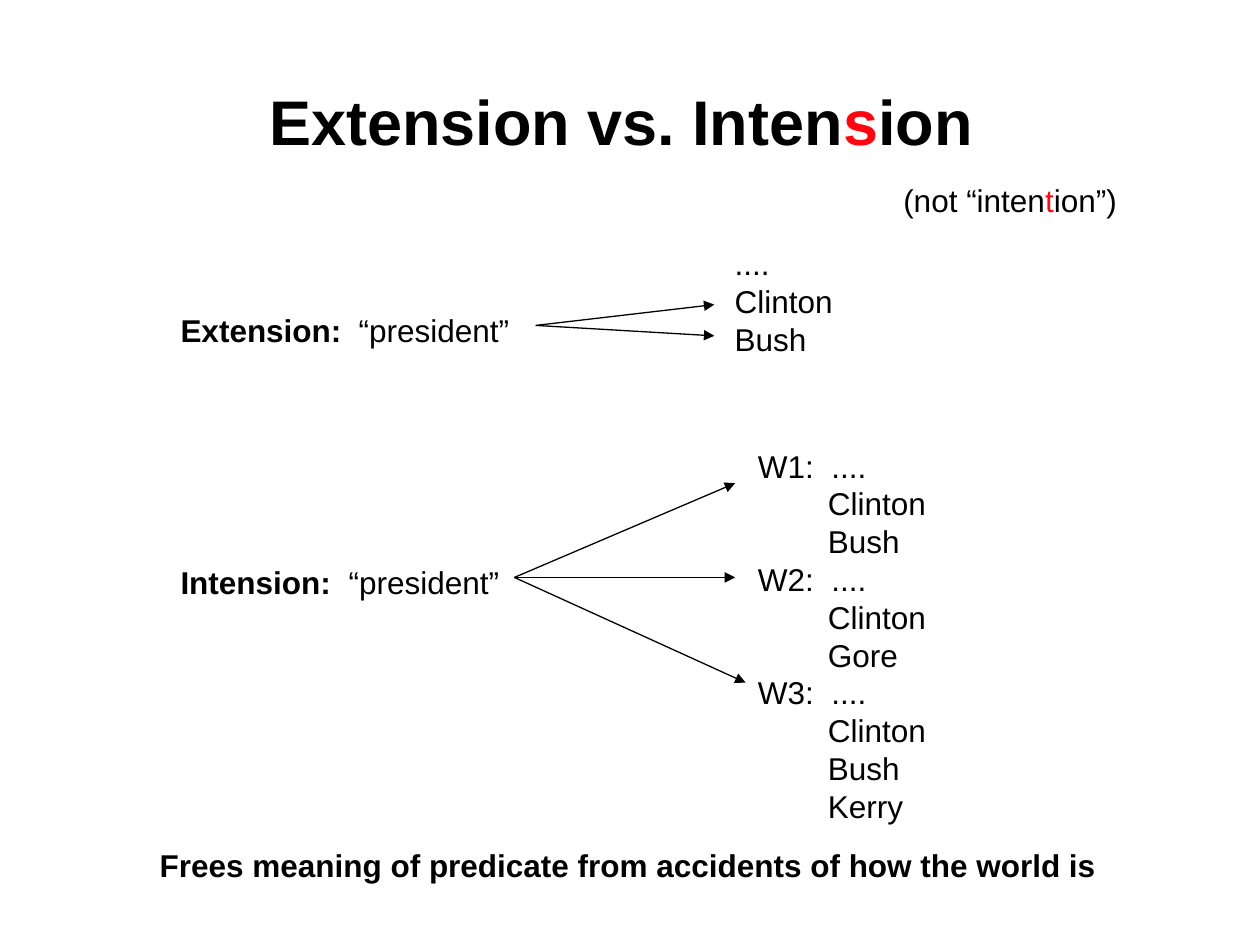
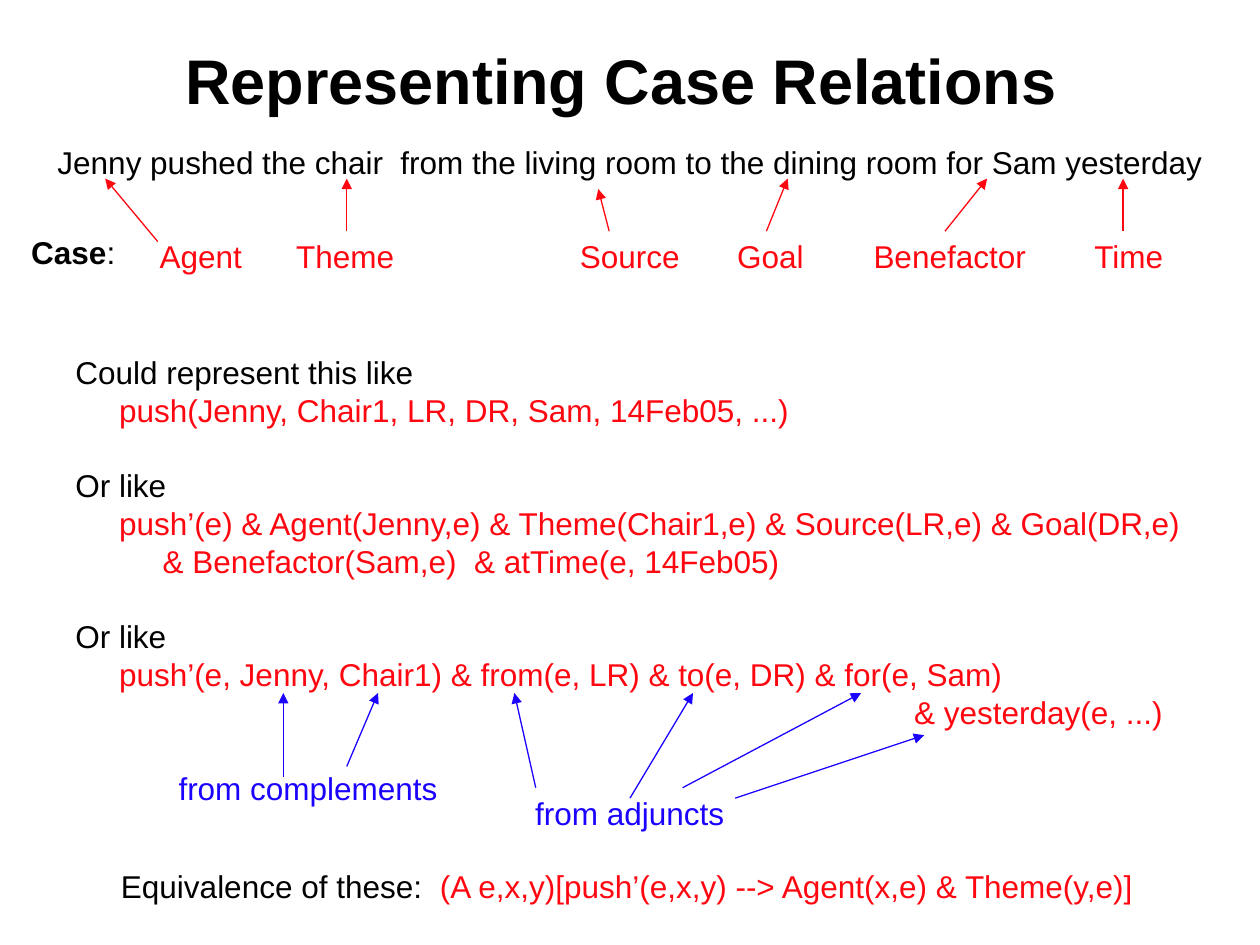
from dataclasses import dataclass

import pptx
import pptx.dml.color
import pptx.enum.shapes
import pptx.enum.text
import pptx.oxml.ns
import pptx.util
from lxml import etree
from pptx.util import Cm

COLORS = {"black": "000000", "red": "FF0710", "blue": "1B02FF"}
FONT = "Arial"
TITLE_SIZE = pptx.util.Pt(36)
BODY_SIZE = pptx.util.Pt(18)
LINE_HEIGHT = pptx.util.Pt(21.6)
WIDTH_SLACK = 0.15  # cm added to each text box so that no line breaks


@dataclass
class Run:
    text: str
    color: str = "black"
    bold: bool = False


@dataclass
class Line:
    runs: list
    indent: float = 0
    tab: float = 0
    gap_before: bool = False


def line(text, color="black", bold=False, **layout):
    return Line([Run(text, color, bold)], **layout)


def add_element(parent, tag, **attributes):
    values = {key: str(value) for key, value in attributes.items()}
    return etree.SubElement(parent, pptx.oxml.ns.qn(tag), values)


class Deck:
    """Holds the shared style and the current slide."""

    def __init__(self):
        self.presentation = pptx.Presentation()
        self.presentation.slide_width = Cm(25.4)
        self.presentation.slide_height = Cm(19.05)
        self.slide = None

    def style(self, font, run):
        font.bold = run.bold
        font.color.rgb = pptx.dml.color.RGBColor.from_string(COLORS[run.color])

    def fill(self, paragraph, runs, size):
        paragraph.font.name = FONT
        paragraph.font.size = size
        for run in runs:
            piece = paragraph.add_run()
            piece.text = run.text
            if len(runs) > 1:
                self.style(piece.font, run)
        if len(runs) == 1:
            self.style(paragraph.font, runs[0])

    def new_slide(self, top, title_runs):
        layout = self.presentation.slide_layouts[5]  # title only
        self.slide = self.presentation.slides.add_slide(layout)
        title = self.slide.shapes.title
        title.left, title.top = Cm(1.9), Cm(top)
        title.width, title.height = Cm(21.59), Cm(3.18)
        frame = title.text_frame
        frame.auto_size = pptx.enum.text.MSO_AUTO_SIZE.NONE
        frame.vertical_anchor = pptx.enum.text.MSO_ANCHOR.MIDDLE
        paragraph = frame.paragraphs[0]
        paragraph.alignment = pptx.enum.text.PP_ALIGN.CENTER
        self.fill(paragraph, title_runs, TITLE_SIZE)

    def text(self, left, top, width, *lines):
        height = 0.25 + 0.76 * len(lines)
        height += 0.76 * sum(entry.gap_before for entry in lines)
        box = self.slide.shapes.add_textbox(
            Cm(left), Cm(top), Cm(width + WIDTH_SLACK), Cm(height))
        frame = box.text_frame
        frame.word_wrap = True
        frame.auto_size = pptx.enum.text.MSO_AUTO_SIZE.SHAPE_TO_FIT_TEXT
        for index, entry in enumerate(lines):
            paragraph = frame.add_paragraph() if index else frame.paragraphs[0]
            paragraph.line_spacing = LINE_HEIGHT
            if entry.gap_before:
                paragraph.space_before = LINE_HEIGHT
            properties = paragraph._p.get_or_add_pPr()
            if entry.indent:
                properties.set("marL", str(Cm(entry.indent)))
                properties.set("indent", "0")
            if entry.tab:
                tabs = add_element(properties, "a:tabLst")
                add_element(tabs, "a:tab", pos=Cm(entry.tab), algn="l")
            self.fill(paragraph, entry.runs, BODY_SIZE)

    def arrow(self, start, end, color="black"):
        connector = self.slide.shapes.add_connector(
            pptx.enum.shapes.MSO_CONNECTOR.STRAIGHT,
            *(Cm(value) for value in start + end))
        connector.line.width = pptx.util.Pt(0.75)
        connector.line.color.rgb = pptx.dml.color.RGBColor.from_string(COLORS[color])
        add_element(connector.line._get_or_add_ln(), "a:tailEnd", type="triangle")
        add_element(connector._element.spPr, "a:effectLst")


def build_intension(deck):
    deck.new_slide(0.84, [Run("Extension vs. Inten", bold=True),
                          Run("s", "red", True), Run("ion ", bold=True)])
    deck.text(17.96, 3.53, 4.8, Line([
        Run("(not “inten"), Run("t", "red"), Run("ion”)")]))

    # Terms on the left
    for term, left, top, width, tab in [("Extension:", 3.39, 6.15, 7.14, 3.59),
                                        ("Intension:", 3.39, 11.23, 6.93, 3.39)]:
        deck.text(left, top, width, Line(
            [Run(term + "\t", bold=True), Run("“president”")], tab=tab))

    # What each term picks out
    deck.text(14.56, 4.8, 2.49, *map(line, ["....", "Clinton", "Bush"]))
    worlds = {"W1": ["Clinton", "Bush"],
              "W2": ["Clinton", "Gore"],
              "W3": ["Clinton", "Bush", "Kerry"]}
    world_lines = []
    for world, presidents in worlds.items():
        world_lines.append(line(f"{world}:\t....", tab=1.48))
        world_lines += [line(name, indent=1.41) for name in presidents]
    deck.text(15.03, 8.88, 3.89, *world_lines)

    # Arrows from term to members
    for start, ends in [
            ((10.8, 6.56), [(14.4, 6.14), (14.4, 6.77)]),
            ((10.37, 11.64), [(14.82, 9.74), (14.82, 11.64), (15.03, 13.76)])]:
        for end in ends:
            deck.arrow(start, end)

    deck.text(2.97, 16.94, 19.38, line(
        "Frees meaning of predicate from accidents of how the world is", bold=True))


def build_case_relations(deck):
    deck.new_slide(0, [Run("Representing Case Relations ", bold=True)])
    deck.text(0.91, 2.75, 23.6, line(
        "Jenny pushed the chair  from the living room to the dining room"
        " for Sam yesterday"))

    # Cases with arrows up to their phrases
    deck.text(0.38, 4.57, 2.18, Line([Run("Case", bold=True), Run(":")]))
    for case, left, width, start, end in [
            ("Agent", 2.97, 2.16, (3.18, 4.87), (2.12, 3.6)),
            ("Theme", 5.72, 2.49, (6.99, 4.66), (6.99, 3.6)),
            ("Source", 11.44, 2.51, (12.28, 4.66), (12.06, 3.81)),
            ("Goal", 14.61, 1.85, (15.45, 4.66), (15.88, 3.6)),
            ("Benefactor", 17.36, 3.58, (19.05, 4.66), (19.9, 3.6)),
            ("Time", 21.81, 1.91, (22.64, 4.66), (22.64, 3.6))]:
        deck.text(left, 4.66, width, line(case, "red"))
        deck.arrow(start, end, "red")

    # Three logical forms
    deck.text(
        1.27, 6.99, 22.89,
        line("Could represent this like"),
        line("push(Jenny, Chair1, LR, DR, Sam, 14Feb05, ...)", "red", indent=0.88),
        line("Or like", gap_before=True),
        line("push’(e) & Agent(Jenny,e) & Theme(Chair1,e) & Source(LR,e) & Goal(DR,e)",
             "red", indent=0.88),
        line("& Benefactor(Sam,e)  & atTime(e, 14Feb05)", "red", indent=1.76),
        line("Or like", gap_before=True),
        line("push’(e, Jenny, Chair1) & from(e, LR) & to(e, DR) & for(e, Sam)",
             "red", indent=0.88),
        line("& yesterday(e, ...)", "red", indent=16.91))

    # Where the parts of the last form come from
    deck.text(3.35, 15.37, 5.72, line("from complements", "blue"))
    deck.text(10.54, 15.88, 4.32, line("from adjuncts", "blue"))
    for start, end in [
            ((5.71, 15.66), (5.71, 13.97)), ((6.99, 15.45), (7.62, 13.97)),
            ((10.8, 15.88), (10.37, 13.97)), ((12.7, 16.09), (13.97, 13.97)),
            ((13.76, 15.88), (17.36, 13.97)), ((14.82, 16.09), (18.63, 14.82))]:
        deck.arrow(start, end, "blue")

    deck.text(2.19, 17.35, 21.03, Line(
        [Run("Equivalence of these:\t"),
         Run("(A e,x,y)[push’(e,x,y) --> Agent(x,e) & Theme(y,e)]", "red")], tab=6.43))


def main():
    deck = Deck()
    build_intension(deck)
    build_case_relations(deck)
    deck.presentation.save("out.pptx")


if __name__ == "__main__":
    main()
